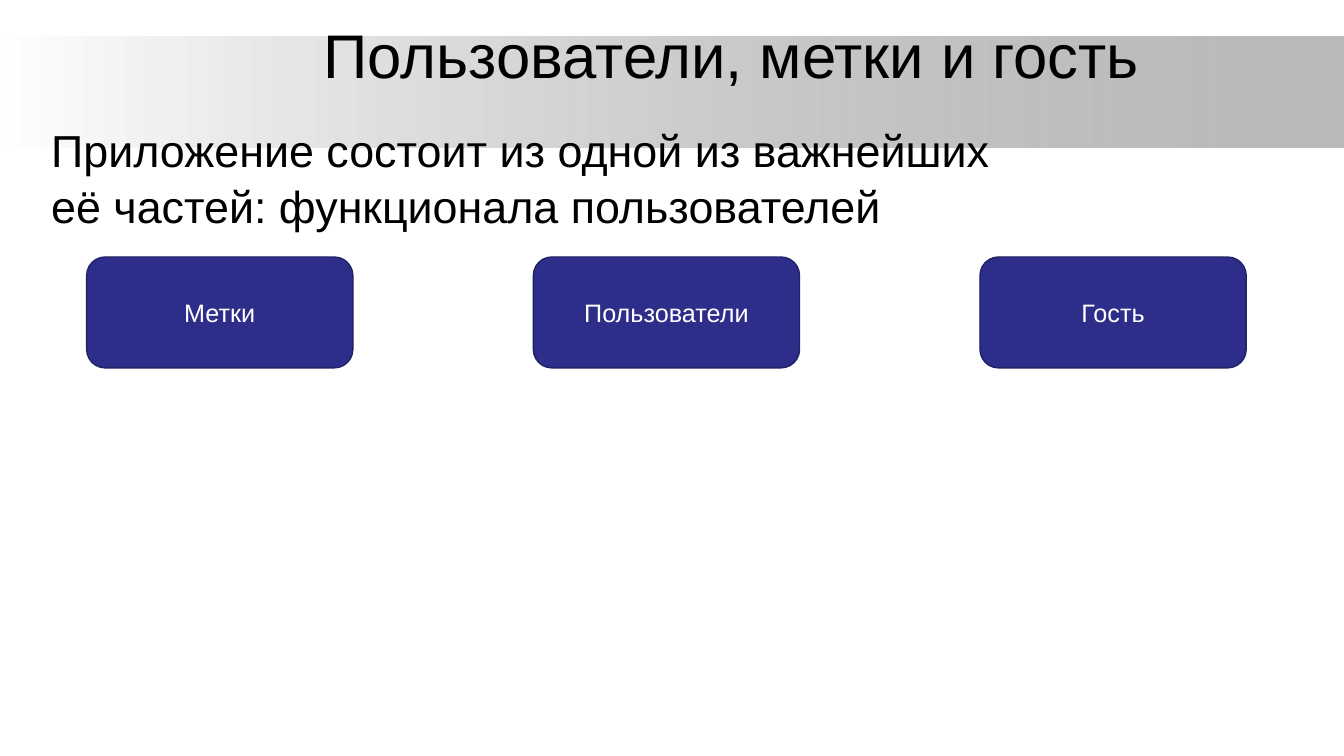
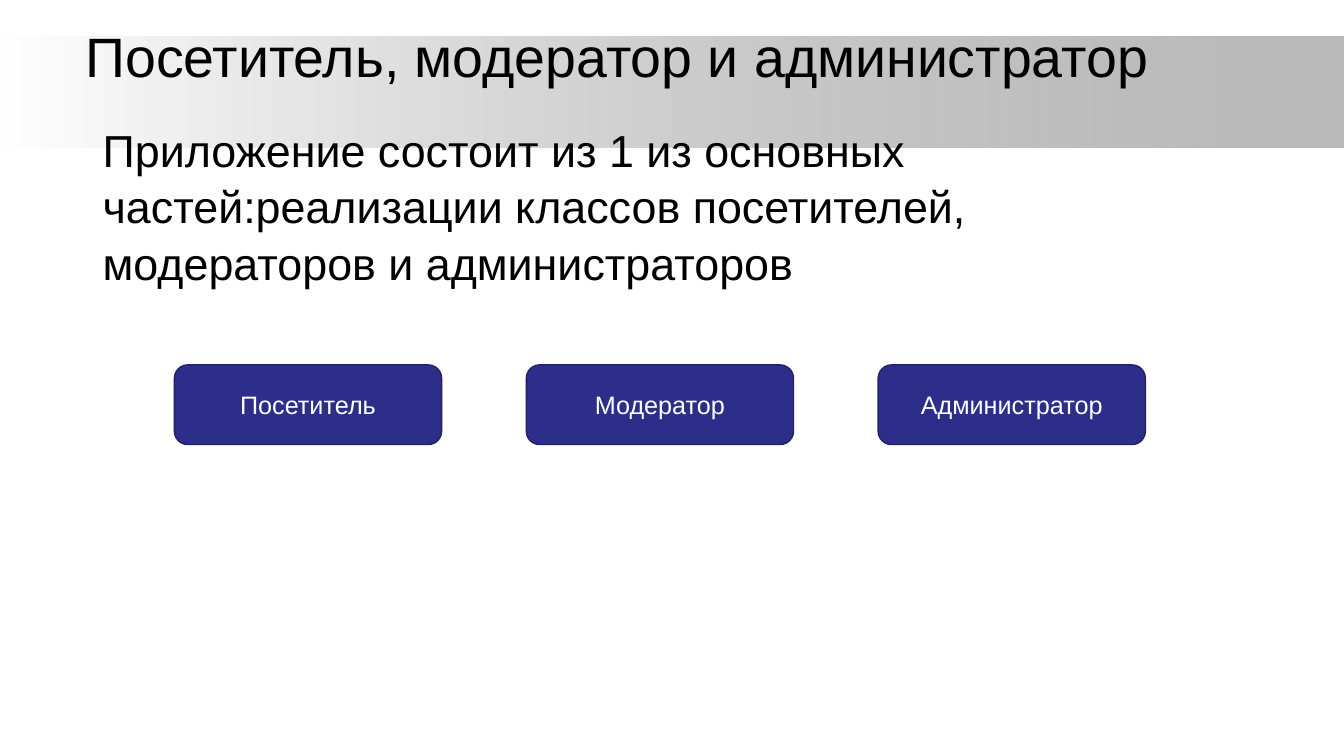
from dataclasses import dataclass

from lxml.etree import SubElement as Sub
from pptx import Presentation
from pptx.dml.color import RGBColor as Rgb
from pptx.enum.shapes import MSO_SHAPE as Kind
from pptx.enum.text import MSO_ANCHOR as Anchor, PP_ALIGN as Align
from pptx.oxml.ns import qn
from pptx.util import Emu, Pt

SCALE = 9144


@dataclass(frozen=True)
class Theme:
    font: str = "Arial"
    white: str = "FFFFFF"
    black: str = "000000"
    gray: str = "808080"
    navy: str = "2D2D8A"
    edge: str = "212166"
    fade: int = 54
    title: float = 44
    small: float = 39.6
    body: float = 32
    label: float = 18
    lead: float = 1.05


@dataclass(frozen=True)
class Box:
    x: int
    y: int
    w: int
    h: int

    def emu(self) -> list[Emu]:
        return [Emu(n * SCALE) for n in (self.x, self.y, self.w, self.h)]


@dataclass(frozen=True)
class Row:
    first: Box
    step: int
    names: tuple[str, ...]


@dataclass(frozen=True)
class Page:
    title: str
    head: Box
    size: float
    text: str
    body: Box
    row: Row


THEME = Theme()
WIDTH, HEIGHT = 1333, 750
BAND = Box(0, 36, WIDTH, 110)
PAGES = (
    Page(
        "Пользователи, метки и гость", Box(126, 21, 1200, 64), THEME.title,
        "Приложение состоит из одной из важнейших её частей: "
        "функционала пользователей",
        Box(41, 114, 957, 359),
        Row(Box(86, 255, 264, 110), 443, ("Метки", "Пользователи", "Гость")),
    ),
    Page(
        "Посетитель, модератор и администратор", Box(12, 23, 1200, 64), THEME.small,
        "Приложение состоит из 1 из основных частей:реализации классов "
        "посетителей, модераторов и администраторов",
        Box(92, 114, 1149, 221),
        Row(Box(173, 362, 265, 79), 349, ("Посетитель", "Модератор", "Администратор")),
    ),
)


def color(code: str) -> Rgb:
    return Rgb.from_string(code)


def write(shape, text: str, *, size: float, ink: str = THEME.black,
          align=Align.CENTER, anchor=Anchor.MIDDLE, lead: float = 1.0) -> None:
    frame = shape.text_frame
    frame.word_wrap = True
    frame.vertical_anchor = anchor
    para = frame.paragraphs[0]
    para.alignment = align
    para.line_spacing = lead
    run = para.add_run()
    run.text = text
    run.font.name = THEME.font
    run.font.size = Pt(size)
    run.font.color.rgb = color(ink)


def band(slide) -> None:
    shape = slide.shapes.add_shape(Kind.RECTANGLE, *BAND.emu())
    shape.shadow.inherit = False
    shape.line.fill.background()
    shape.fill.gradient()
    shape.fill.gradient_angle = 0
    for stop, code in zip(shape.fill.gradient_stops, (THEME.white, THEME.gray)):
        stop.color.rgb = color(code)
    tint = shape.element.findall(".//" + qn("a:gs"))[-1][0]
    Sub(tint, qn("a:alpha"), val=str(THEME.fade * 1000))


def button(slide, box: Box, name: str) -> None:
    shape = slide.shapes.add_shape(Kind.ROUNDED_RECTANGLE, *box.emu())
    shape.shadow.inherit = False
    shape.fill.solid()
    shape.fill.fore_color.rgb = color(THEME.navy)
    shape.line.color.rgb = color(THEME.edge)
    shape.line.width = Pt(1)
    write(shape, name, size=THEME.label, ink=THEME.white)


def buttons(slide, row: Row) -> None:
    box = row.first
    for i, name in enumerate(row.names):
        button(slide, Box(box.x + i * row.step, box.y, box.w, box.h), name)


def draw(deck, page: Page) -> None:
    slide = deck.slides.add_slide(deck.slide_layouts[6])
    band(slide)
    write(slide.shapes.add_textbox(*page.head.emu()), page.title, size=page.size)
    write(slide.shapes.add_textbox(*page.body.emu()), page.text, size=THEME.body,
          align=Align.LEFT, anchor=Anchor.TOP, lead=THEME.lead)
    buttons(slide, page.row)


def main() -> None:
    deck = Presentation()
    deck.slide_width, deck.slide_height = Emu(WIDTH * SCALE), Emu(HEIGHT * SCALE)
    for page in PAGES:
        draw(deck, page)
    deck.save("out.pptx")


if __name__ == "__main__":
    main()
